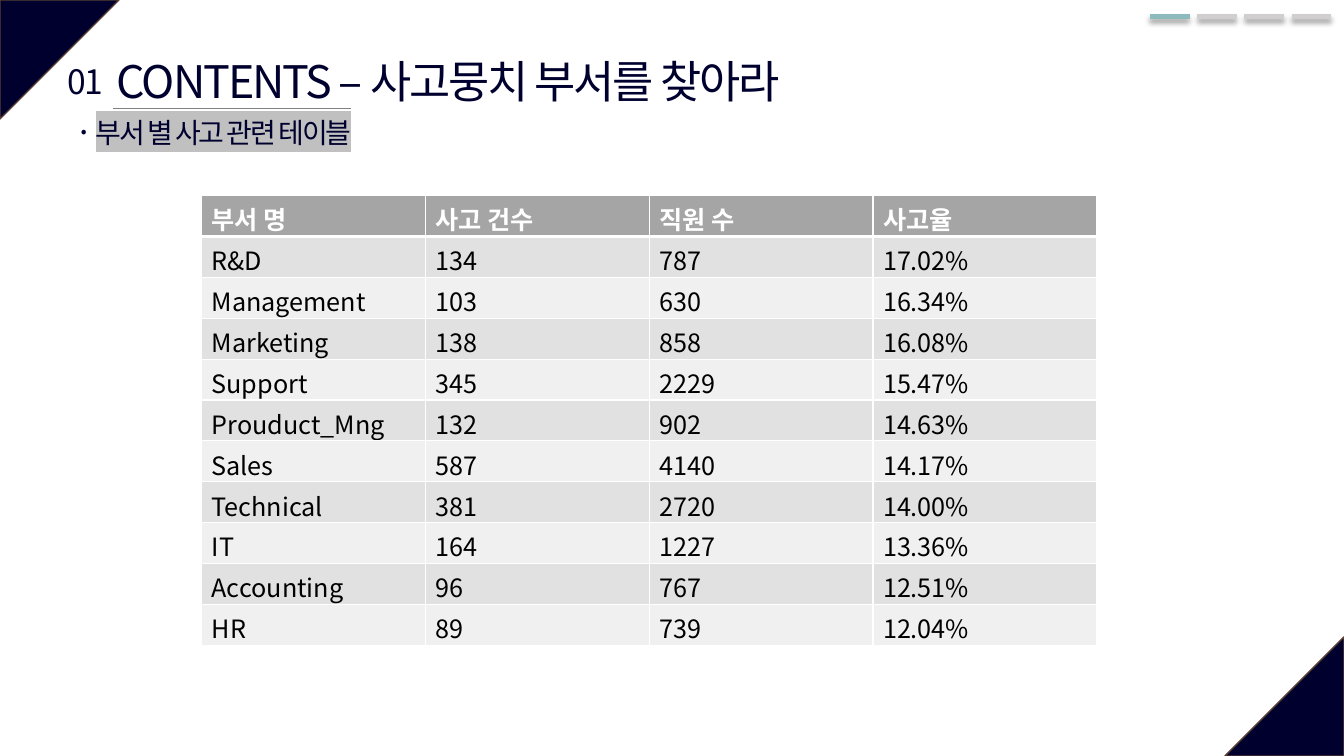
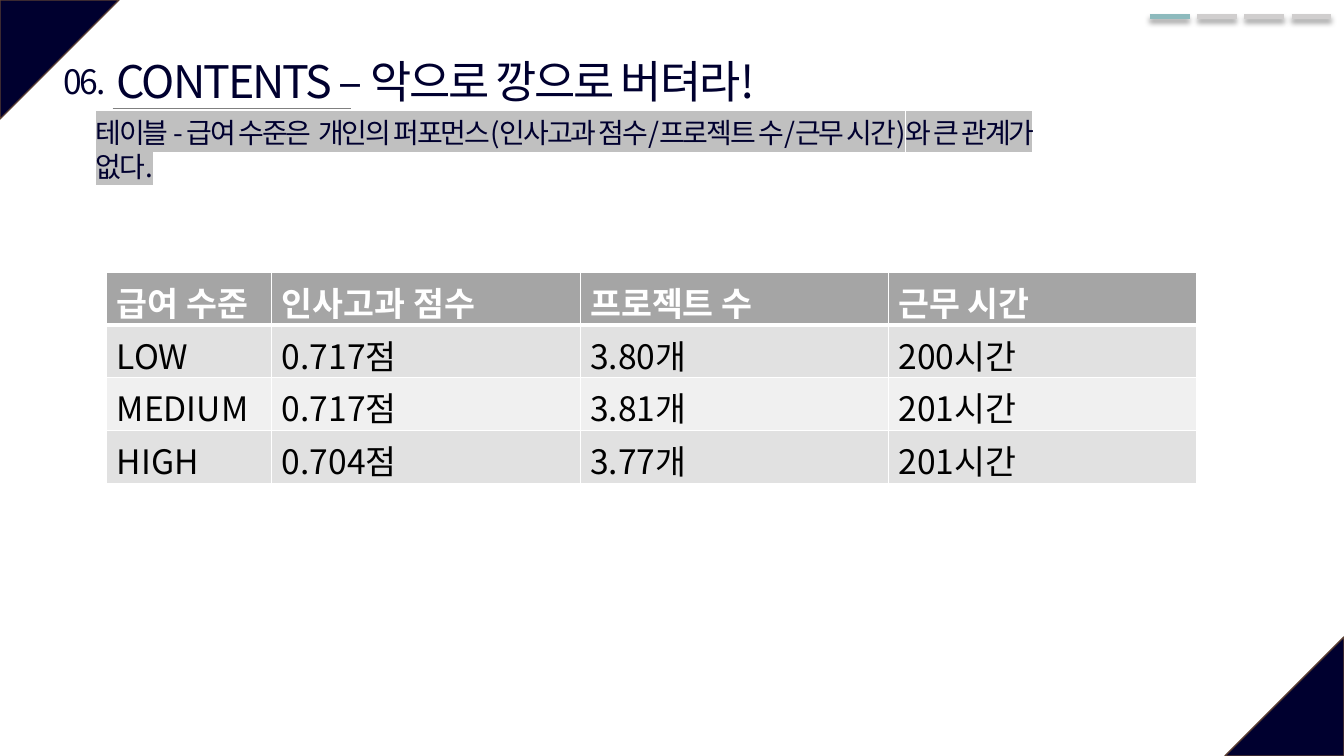
from lxml.etree import SubElement
from pptx import Presentation
from pptx.dml.color import RGBColor
from pptx.enum.shapes import MSO_CONNECTOR, MSO_SHAPE
from pptx.enum.text import MSO_ANCHOR, MSO_AUTO_SIZE, PP_ALIGN
from pptx.oxml import parse_xml
from pptx.oxml.ns import nsdecls, qn
from pptx.util import Cm, Pt

NAVY = RGBColor(0x00, 0x00, 0x2F)
BROWN = RGBColor(0x5B, 0x3F, 0x33)
GRAY = RGBColor(0x80, 0x80, 0x80)
TEAL = RGBColor(0x8D, 0xBA, 0xBD)
SILVER = RGBColor(0xD0, 0xCE, 0xCE)
HIGHLIGHT = RGBColor(0xC0, 0xC0, 0xC0)
HEADER = RGBColor(0xA5, 0xA5, 0xA5)
BANDS = (RGBColor(0xE1, 0xE1, 0xE1), RGBColor(0xF0, 0xF0, 0xF0))
WHITE = RGBColor(0xFF, 0xFF, 0xFF)
BLACK = RGBColor(0x00, 0x00, 0x00)

FONT = "Noto Sans CJK KR"
WIDTH, HEIGHT = 33.87, 19.05
CORNER = 3.0
MARGIN = 2.69
STEPS = 4

DEPARTMENTS = [
    ("부서 명", "사고 건수", "직원 수", "사고율"),
    ("R&D", "134", "787", "17.02%"),
    ("Management", "103", "630", "16.34%"),
    ("Marketing", "138", "858", "16.08%"),
    ("Support", "345", "2229", "15.47%"),
    ("Prouduct_Mng", "132", "902", "14.63%"),
    ("Sales", "587", "4140", "14.17%"),
    ("Technical", "381", "2720", "14.00%"),
    ("IT", "164", "1227", "13.36%"),
    ("Accounting", "96", "767", "12.51%"),
    ("HR", "89", "739", "12.04%"),
]
SALARIES = [
    ("급여 수준", "인사고과 점수", "프로젝트 수", "근무 시간"),
    ("LOW", "0.717점", "3.80개", "200시간"),
    ("MEDIUM", "0.717점", "3.81개", "201시간"),
    ("HIGH", "0.704점", "3.77개", "201시간"),
]


class Deck:
    """Holds the shared style and the slide being built."""

    def __init__(self):
        self.presentation = Presentation()
        self.presentation.slide_width = Cm(WIDTH)
        self.presentation.slide_height = Cm(HEIGHT)
        self.slide = None

    def add_slide(self, number, number_width, title, subtitle):
        layout = self.presentation.slide_layouts[5]
        self.slide = self.presentation.slides.add_slide(layout)
        self.corner(0, 0, 90)
        self.corner(WIDTH - CORNER, HEIGHT - CORNER, 270)
        self.title(title)
        self.line(2.84, 8.84, 2.74, GRAY, 0.5)
        self.number(number, number_width)
        self.progress()
        self.subtitle(subtitle)

    def set_text(self, frame, text, size, color=NAVY, spacing=-150,
                 highlight=None):
        """Fill the first paragraph; Korean glyphs need the ea font as well."""
        paragraph = frame.paragraphs[0]
        font = paragraph.font
        font.name, font.size = FONT, Pt(size)
        font.color.rgb = color
        run = paragraph.add_run()
        run.text = text
        properties = run._r.get_or_add_rPr()
        if spacing:
            properties.set("spc", str(spacing))
        if highlight is not None:
            mark = SubElement(properties, qn("a:highlight"))
            SubElement(mark, qn("a:srgbClr"), val=str(highlight))
        SubElement(properties, qn("a:ea"), typeface=FONT)
        return paragraph

    def text_box(self, left, top, width, height, wrap=True):
        box = self.slide.shapes.add_textbox(
            Cm(left), Cm(top), Cm(width), Cm(height))
        frame = box.text_frame
        frame.word_wrap = wrap
        frame.auto_size = MSO_AUTO_SIZE.SHAPE_TO_FIT_TEXT
        return frame

    def corner(self, left, top, rotation):
        triangle = self.slide.shapes.add_shape(
            MSO_SHAPE.ISOSCELES_TRIANGLE,
            Cm(left), Cm(top), Cm(CORNER), Cm(CORNER))
        triangle.adjustments[0] = 0
        triangle.rotation = rotation
        triangle.shadow.inherit = False
        triangle.fill.solid()
        triangle.fill.fore_color.rgb = NAVY
        triangle.line.color.rgb = BROWN
        triangle.line.width = Pt(1)

    def title(self, text):
        title = self.slide.shapes.title
        title.left, title.top = Cm(MARGIN), Cm(1.22)
        title.width, title.height = Cm(24.97), Cm(1.63)
        frame = title.text_frame
        frame.word_wrap = True
        frame.auto_size = MSO_AUTO_SIZE.SHAPE_TO_FIT_TEXT
        frame.vertical_anchor = MSO_ANCHOR.TOP
        self.set_text(frame, text, 32).alignment = PP_ALIGN.LEFT

    def number(self, text, width):
        frame = self.text_box(2.13 - width / 2, 1.4, width, 1.27, wrap=False)
        self.set_text(frame, text, 24).alignment = PP_ALIGN.CENTER

    def subtitle(self, text):
        frame = self.text_box(2.16, 2.79, 24.51, 1.12)
        self.set_text(frame, text, 20, highlight=HIGHLIGHT)

    def line(self, start, end, y, color, weight, shadow=False):
        connector = self.slide.shapes.add_connector(
            MSO_CONNECTOR.STRAIGHT, Cm(start), Cm(y), Cm(end), Cm(y))
        connector.line.color.rgb = color
        connector.line.width = Pt(weight)
        effects = SubElement(connector._element.spPr, qn("a:effectLst"))
        if shadow:
            outer = SubElement(
                effects, qn("a:outerShdw"), blurRad=str(Pt(4)),
                dist=str(Pt(3)), dir="5400000", algn="t", rotWithShape="0")
            black = SubElement(outer, qn("a:srgbClr"), val=str(BLACK))
            SubElement(black, qn("a:alpha"), val="40000")

    def progress(self):
        for step in range(STEPS):
            start = 28.98 + step * 1.19
            color = SILVER if step else TEAL
            self.line(start, start + 1, 0.41, color, 3.5, shadow=True)

    def borders(self, cell, bottom):
        """Draw white borders; they must precede the fill in the cell."""
        properties = cell._tc.get_or_add_tcPr()
        weights = {"lnL": 1, "lnR": 1, "lnT": 1, "lnB": bottom}
        for position, (side, weight) in enumerate(weights.items()):
            properties.insert(position, parse_xml(
                f'<a:{side} {nsdecls("a")} w="{Pt(weight)}"><a:solidFill>'
                f'<a:srgbClr val="{WHITE}"/></a:solidFill></a:{side}>'))

    def table(self, left, top, widths, row_height, rows, size):
        table = self.slide.shapes.add_table(
            len(rows), len(widths), Cm(left), Cm(top),
            Cm(sum(widths)), Cm(row_height * len(rows))).table
        for column, width in zip(table.columns, widths):
            column.width = Cm(width)
        for r, row in enumerate(rows):
            is_header = r == 0
            table.rows[r].height = Cm(row_height)
            for c, text in enumerate(row):
                cell = table.cell(r, c)
                cell.fill.solid()
                cell.fill.fore_color.rgb = (
                    HEADER if is_header else BANDS[(r - 1) % 2])
                self.borders(cell, 3 if is_header else 1)
                paragraph = self.set_text(
                    cell.text_frame, text, size,
                    WHITE if is_header else BLACK, spacing=0)
                paragraph.font.bold = is_header


def main():
    deck = Deck()
    deck.add_slide("01.", 1.52, "CONTENTS – 사고뭉치 부서를 찾아라",
                   "부서 별 사고 관련 테이블")
    deck.table(5.08, 4.93, [5.64] * 4, 1.03, DEPARTMENTS, 18)

    deck.add_slide("06.", 1.65, "CONTENTS – 악으로 깡으로 버텨라!",
                   "테이블 - 급여 수준은  개인의 퍼포먼스(인사고과 점수/프로젝트 수/"
                   "근무 시간)와 큰 관계가 없다.")
    deck.table(MARGIN, 6.86, [4.16] + [7.77] * 3, 1.33, SALARIES, 24)

    deck.presentation.save("out.pptx")


if __name__ == "__main__":
    main()
